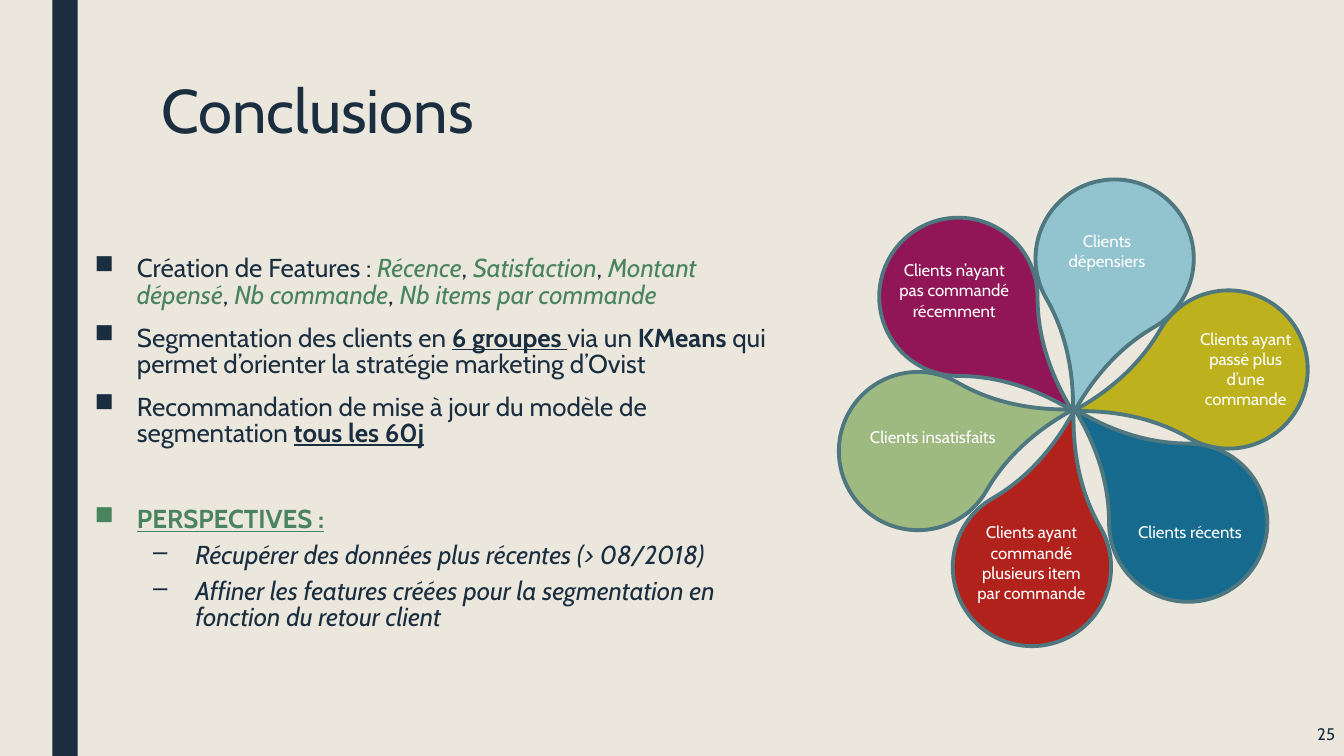
"""Build the conclusions slide with its six-petal customer segment flower."""
from dataclasses import dataclass

from lxml.etree import SubElement
from pptx import Presentation
from pptx.dml.color import RGBColor
from pptx.enum.shapes import MSO_SHAPE as Preset
from pptx.enum.text import MSO_ANCHOR as Anchor, PP_ALIGN as Align
from pptx.oxml.ns import qn
from pptx.slide import Slide
from pptx.text.text import Font, TextFrame
from pptx.util import Inches, Pt

BACKGROUND = RGBColor(0xEB, 0xE7, 0xDD)
NAVY = RGBColor(0x1A, 0x2E, 0x40)
GREEN = RGBColor(0x4A, 0x84, 0x5E)
WHITE = RGBColor(0xFF, 0xFF, 0xFF)
OUTLINE = RGBColor(0x4E, 0x77, 0x7F)
SKY = RGBColor(0x92, 0xC4, 0xD0)
PLUM = RGBColor(0x91, 0x16, 0x57)
SAGE = RGBColor(0x9F, 0xBA, 0x81)
MUSTARD = RGBColor(0xBD, 0xB1, 0x1D)
BLUE = RGBColor(0x16, 0x6A, 0x8E)
RED = RGBColor(0xB1, 0x22, 0x1C)

FONT_NAME = "Cabin"
PETAL_SIZE = 1.57
PETAL_TIP = 1.438
BULLET_INDENT = 0.42

Box = tuple[float, float, float, float]


@dataclass(frozen=True)
class Span:
    text: str
    color: RGBColor = NAVY
    strong: bool = False
    underline: bool = False
    italic: bool = False


@dataclass(frozen=True)
class Bullet:
    spans: tuple[Span, ...]
    level: int = 0
    space_before: float = 10


@dataclass(frozen=True)
class Petal:
    left: float
    top: float
    rotation: float
    color: RGBColor
    label: str
    label_box: Box
    align: Align = Align.CENTER


def feature(text: str) -> Span:
    return Span(text, GREEN, italic=True)


COMMA = Span(", ")
BULLETS = (
    Bullet((Span("Création de Features : "), feature("Récence"), COMMA,
            feature("Satisfaction"), COMMA, feature("Montant dépensé"), COMMA,
            feature("Nb commande"), COMMA, feature("Nb items par commande")),
           space_before=0),
    Bullet((Span("Segmentation des clients en "),
            Span("6 groupes ", strong=True, underline=True),
            Span("via un "), Span("KMeans", strong=True),
            Span(" qui permet d’orienter la stratégie marketing d’Ovist"))),
    Bullet((Span("Recommandation de mise à jour du modèle de segmentation "),
            Span("tous les 60j", strong=True, underline=True))),
    Bullet((Span("PERSPECTIVES :", GREEN, strong=True, underline=True),),
           space_before=41),
    Bullet((Span("Récupérer des données plus récentes (> 08/2018)", italic=True),),
           level=1, space_before=5),
    Bullet((Span("Affiner les features créées pour la segmentation en "
                 "fonction du retour client", italic=True),),
           level=1, space_before=5),
)

PETALS = (
    Petal(10.27, 1.78, 150, SKY, "Clients dépensiers", (10.45, 2.24, 1.06, 0.71)),
    Petal(8.72, 2.16, 90, PLUM, "Clients n’ayant pas commandé récemment",
          (8.78, 2.53, 1.37, 0.94)),
    Petal(8.32, 3.69, 30, SAGE, "Clients insatisfaits",
          (8.53, 4.18, 1.45, 0.5), Align.LEFT),
    Petal(11.4, 2.88, 210, MUSTARD, "Clients ayant passé plus d’une commande",
          (11.77, 3.21, 1.17, 1.11)),
    Petal(11, 4.4, 270, BLUE, "Clients récents",
          (11.19, 5.13, 1.26, 0.5), Align.LEFT),
    Petal(9.45, 4.84, 330, RED, "Clients ayant commandé plusieurs item par commande",
          (9.59, 5.13, 1.28, 1.11)),
)


def set_font(font: Font, size: float, color: RGBColor) -> None:
    font.name = FONT_NAME
    font.size = Pt(size)
    font.color.rgb = color


def add_text_frame(slide: Slide, box: Box) -> TextFrame:
    frame = slide.shapes.add_textbox(*map(Inches, box)).text_frame
    frame.word_wrap = True
    return frame


def add_label(slide: Slide, box: Box, text: str, size: float, color: RGBColor,
              align: Align = Align.LEFT, anchor: Anchor = Anchor.TOP,
              line_spacing: float = 1.0) -> None:
    frame = add_text_frame(slide, box)
    frame.vertical_anchor = anchor
    paragraph = frame.paragraphs[0]
    paragraph.text = text
    paragraph.alignment = align
    paragraph.line_spacing = line_spacing
    set_font(paragraph.font, size, color)


def add_bullets(slide: Slide, box: Box, bullets: tuple[Bullet, ...]) -> None:
    frame = add_text_frame(slide, box)
    for index, bullet in enumerate(bullets):
        paragraph = frame.add_paragraph() if index else frame.paragraphs[0]
        paragraph.level = bullet.level
        paragraph.line_spacing = 0.84
        paragraph.space_before = Pt(bullet.space_before)
        paragraph.space_after = Pt(2)
        properties = paragraph._p.get_or_add_pPr()
        margin = 1 if bullet.level else BULLET_INDENT
        properties.set("marL", str(Inches(margin)))
        properties.set("indent", str(Inches(-BULLET_INDENT)))
        SubElement(properties, qn("a:buChar"), char="–" if bullet.level else "■")
        for span in bullet.spans:
            run = paragraph.add_run()
            run.text = span.text
            set_font(run.font, 18.5, span.color)
            run.font.bold = span.strong
            run.font.underline = span.underline
            run.font.italic = span.italic


def add_petal(slide: Slide, petal: Petal) -> None:
    shape = slide.shapes.add_shape(
        Preset.TEAR, Inches(petal.left), Inches(petal.top),
        Inches(PETAL_SIZE), Inches(PETAL_SIZE))
    shape.adjustments[0] = PETAL_TIP
    shape.rotation = petal.rotation
    shape.shadow.inherit = False
    shape.fill.solid()
    shape.fill.fore_color.rgb = petal.color
    shape.line.color.rgb = OUTLINE
    shape.line.width = Pt(2.75)


def add_side_bar(slide: Slide) -> None:
    bar = slide.shapes.add_shape(
        Preset.RECTANGLE, Inches(0.52), 0, Inches(0.25), Inches(7.5))
    bar.shadow.inherit = False
    bar.fill.solid()
    bar.fill.fore_color.rgb = NAVY
    bar.line.fill.background()


def main() -> None:
    presentation = Presentation()
    presentation.slide_width = Inches(13.33)
    presentation.slide_height = Inches(7.5)
    slide = presentation.slides.add_slide(presentation.slide_layouts[6])
    slide.background.fill.solid()
    slide.background.fill.fore_color.rgb = BACKGROUND

    add_side_bar(slide)
    add_label(slide, (1.5, 0.75, 10.5, 1.62), "Conclusions", 44, NAVY,
              line_spacing=0.89)
    add_bullets(slide, (0.84, 2.5, 6.96, 3.92), BULLETS)
    add_label(slide, (11.59, 7.06, 1.75, 0.44), "25", 12, NAVY,
              Align.RIGHT, Anchor.MIDDLE)
    for petal in PETALS:
        add_petal(slide, petal)
    for petal in PETALS:
        add_label(slide, petal.label_box, petal.label, 12, WHITE, petal.align)
    presentation.save("out.pptx")


if __name__ == "__main__":
    main()
